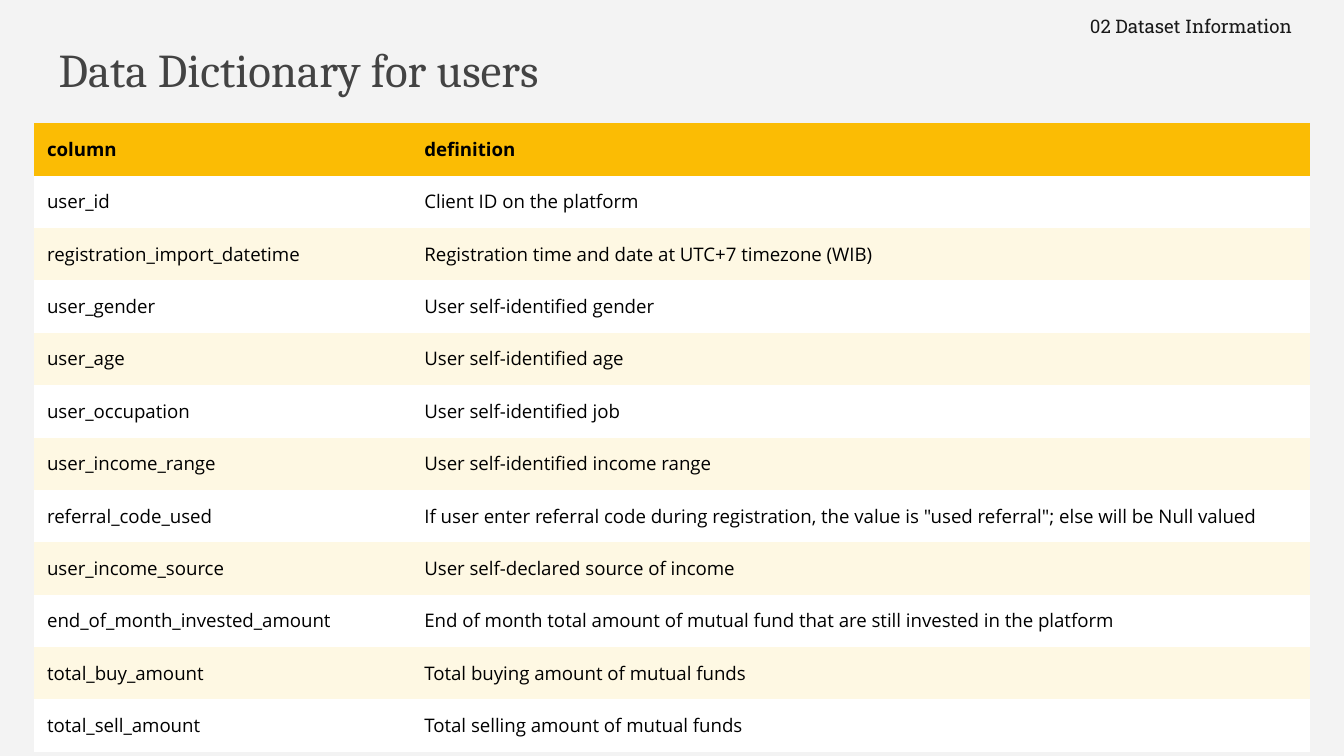
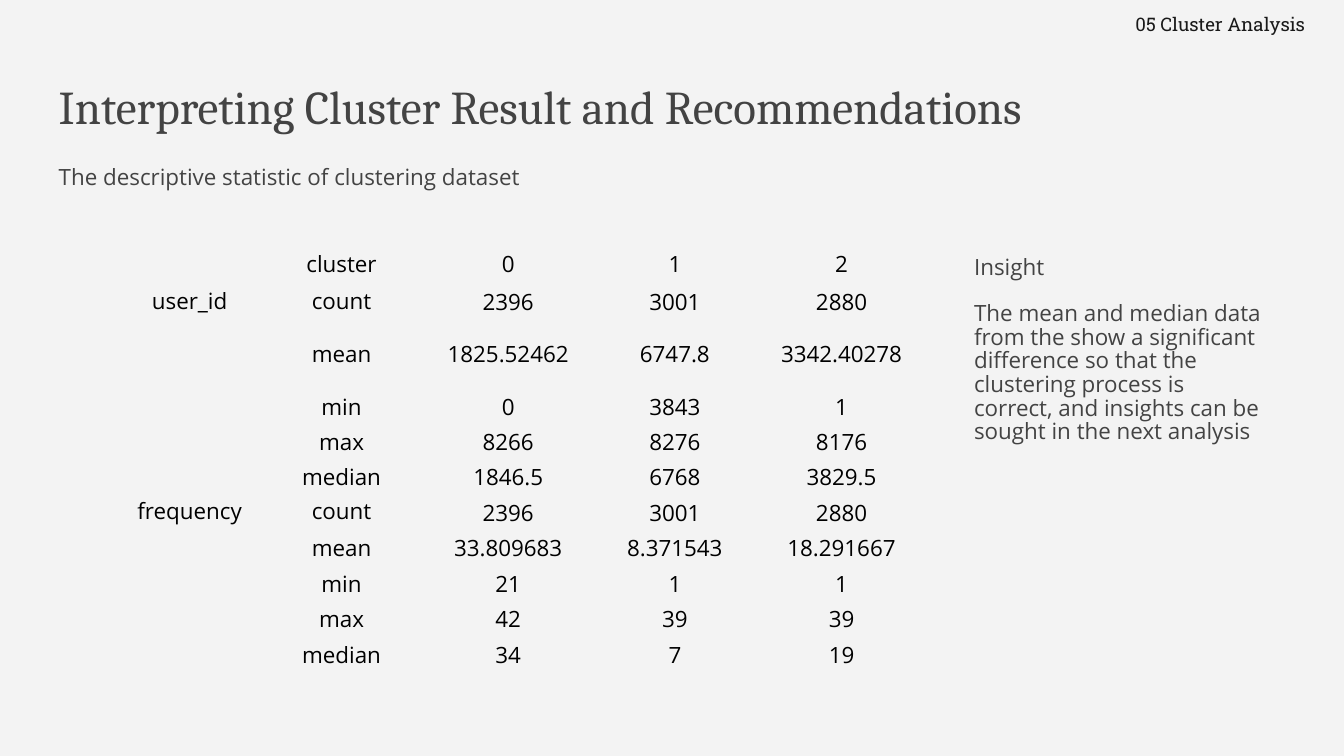
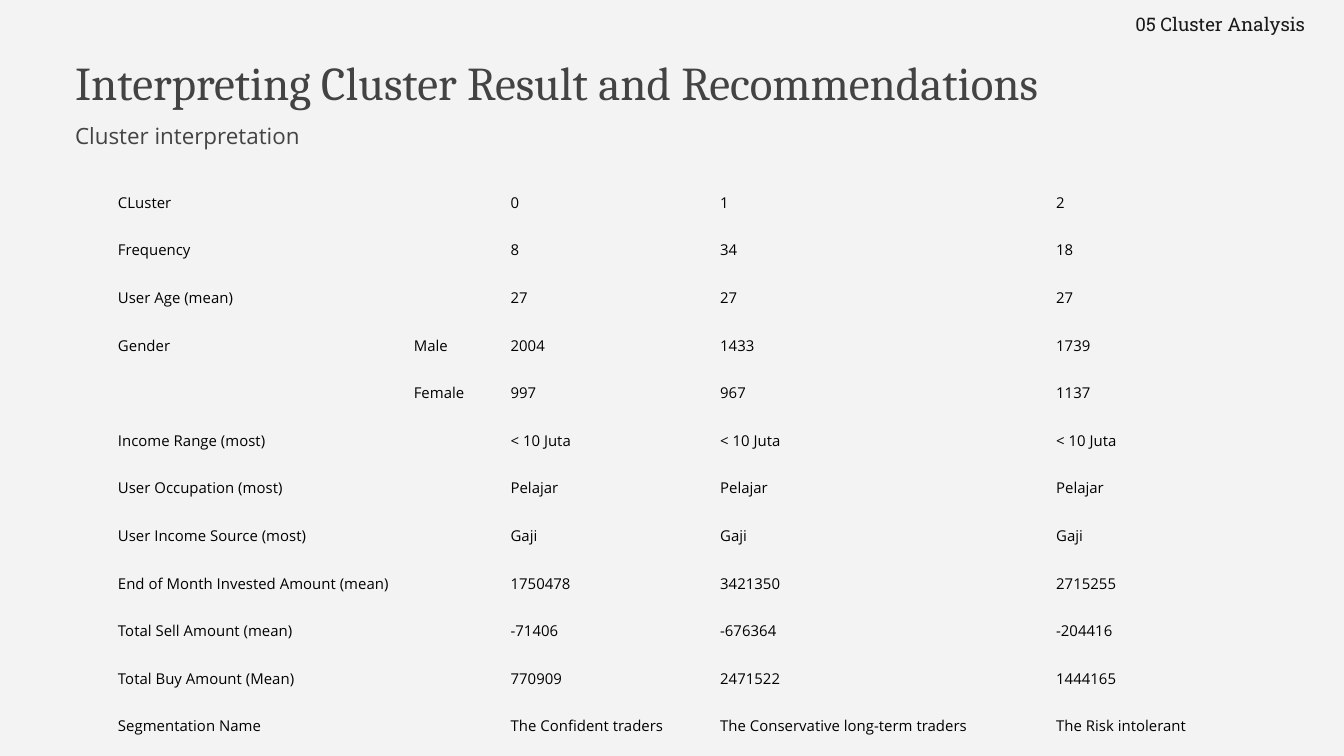
from dataclasses import dataclass

from pptx import Presentation
from pptx.dml.color import RGBColor
from pptx.enum.text import MSO_ANCHOR, MSO_AUTO_SIZE, PP_ALIGN
from pptx.oxml.ns import qn
from pptx.util import Cm, Pt

PAPER, INK, DARK, BLACK = "F3F3F3", "434343", "191919", "000000"
GOLD, CREAM, WHITE = "FBBC04", "FEF8E3", "FFFFFF"
SERIF, SANS, SLAB = "Cambria", "Open Sans", "Roboto Slab"
PLAIN = "{2D5ABB26-0587-4C30-8999-92F81FD0307C}"  # table style without grid


@dataclass(frozen=True)
class Box:
    left: float
    top: float
    width: float
    height: float

    def place(self) -> tuple:
        return Cm(self.left), Cm(self.top), Cm(self.width), Cm(self.height)


@dataclass(frozen=True)
class Span:
    """A merged block of cells, from its first cell to its last."""
    row: int
    col: int
    end_row: int
    end_col: int


@dataclass(frozen=True)
class Grid:
    left: float
    top: float
    cols: tuple
    rows: tuple
    cells: tuple
    size: float
    spans: tuple = ()
    pad: float = 0.25
    align: PP_ALIGN = PP_ALIGN.LEFT
    anchor: MSO_ANCHOR = MSO_ANCHOR.TOP
    tops: tuple = ()  # cells kept at the top whatever the anchor
    fills: tuple = ()  # head, odd row, even row


def shade(hue: str) -> RGBColor:
    return RGBColor.from_string(hue)


def write(frame, *lines: str, font=SANS, size=12.0, color=INK, bold=False,
          align=PP_ALIGN.LEFT, lead=1.0, gap=0.0) -> None:
    """Fill a text frame, one paragraph for each line."""
    for num, line in enumerate(lines):
        para = frame.add_paragraph() if num else frame.paragraphs[0]
        para.text = line
        para.alignment = align
        para.line_spacing = lead
        para.space_before = Pt(gap if num else 0)
        para.font.name, para.font.size = font, Pt(size)
        para.font.bold = bold
        para.font.color.rgb = shade(color)


def inset(item, pad: float, base: float) -> None:
    item.margin_left = item.margin_right = item.margin_top = Cm(pad)
    item.margin_bottom = Cm(base)


def setup(frame) -> None:
    frame.word_wrap = True
    frame.auto_size = MSO_AUTO_SIZE.NONE
    frame.vertical_anchor = MSO_ANCHOR.TOP
    inset(frame, 0.25, 0.25)


def label(slide, box: Box, *lines: str, **style) -> None:
    frame = slide.shapes.add_textbox(*box.place()).text_frame
    setup(frame)
    write(frame, *lines, **style)


def start(deck, title: str, spot: Box, part: str, mark: Box):
    """Add a slide with its background, title and section mark."""
    slide = deck.slides.add_slide(deck.slide_layouts[5])
    slide.background.fill.solid()
    slide.background.fill.fore_color.rgb = shade(PAPER)
    head = slide.shapes.title
    head.left, head.top, head.width, head.height = spot.place()
    setup(head.text_frame)
    write(head.text_frame, title, font=SERIF, size=25.2)
    label(slide, mark, part, font=SLAB, size=10, color=DARK)
    return slide


def draw(slide, grid: Grid) -> None:
    box = Box(grid.left, grid.top, sum(grid.cols), sum(grid.rows))
    table = slide.shapes.add_table(
        len(grid.rows), len(grid.cols), *box.place()).table
    table.first_row = table.horz_banding = False
    table._tbl.tblPr.find(qn("a:tableStyleId")).text = PLAIN
    for col, width in zip(table.columns, grid.cols):
        col.width = Cm(width)
    for row, height in zip(table.rows, grid.rows):
        row.height = Cm(height)
    for span in grid.spans:
        table.cell(span.row, span.col).merge(
            table.cell(span.end_row, span.end_col))
    for r, line in enumerate(grid.cells):
        for c, text in enumerate(line):
            cell = table.cell(r, c)
            inset(cell, grid.pad, grid.pad if grid.pad > 0.1 else 0)
            top = (r, c) in grid.tops
            cell.vertical_anchor = MSO_ANCHOR.TOP if top else grid.anchor
            if grid.fills:
                cell.fill.solid()
                tone = grid.fills[0 if r == 0 else 2 - r % 2]
                cell.fill.fore_color.rgb = shade(tone)
            else:
                cell.fill.background()
            write(cell.text_frame, text, size=grid.size, color=BLACK,
                  bold=bool(grid.fills) and r == 0, align=grid.align)


FIELDS = (
    ("column", "definition"),
    ("user_id", "Client ID on the platform"),
    ("registration_import_datetime",
     "Registration time and date at UTC+7 timezone (WIB)"),
    ("user_gender", "User self-identified gender"),
    ("user_age", "User self-identified age"),
    ("user_occupation", "User self-identified job"),
    ("user_income_range", "User self-identified income range"),
    ("referral_code_used",
     "If user enter referral code during registration, the value is "
     '"used referral"; else will be Null valued'),
    ("user_income_source", "User self-declared source of income"),
    ("end_of_month_invested_amount",
     "End of month total amount of mutual fund that are still invested "
     "in the platform"),
    ("total_buy_amount", "Total buying amount of mutual funds"),
    ("total_sell_amount", "Total selling amount of mutual funds"),
)

STATS = (
    ("", "cluster", "0", "1", "2"),
    ("user_id", "count", "2396", "3001", "2880"),
    ("", "mean", "1825.52462", "6747.8", "3342.40278"),
    ("", "min", "0", "3843", "1"),
    ("", "max", "8266", "8276", "8176"),
    ("", "median", "1846.5", "6768", "3829.5"),
    ("frequency", "count", "2396", "3001", "2880"),
    ("", "mean", "33.809683", "8.371543", "18.291667"),
    ("", "min", "21", "1", "1"),
    ("", "max", "42", "39", "39"),
    ("", "median", "34", "7", "19"),
)

GROUPS = (
    ("CLuster", "", "0", "1", "2"),
    ("Frequency", "", "8", "34", "18"),
    ("User Age (mean)", "", "27", "27", "27"),
    ("Gender", "Male", "2004", "1433", "1739"),
    ("", "Female", "997", "967", "1137"),
    ("Income Range (most)", "", "< 10 Juta", "< 10 Juta", "< 10 Juta"),
    ("User Occupation (most)", "", "Pelajar", "Pelajar", "Pelajar"),
    ("User Income Source (most)", "", "Gaji", "Gaji", "Gaji"),
    ("End of Month Invested Amount (mean)", "",
     "1750478", "3421350", "2715255"),
    ("Total Sell Amount (mean)", "", "-71406", "-676364", "-204416"),
    ("Total Buy Amount (Mean)", "", "770909", "2471522", "1444165"),
    ("Segmentation Name", "", "The Confident traders",
     "The Conservative long-term traders", "The Risk intolerant"),
)

RESULT = "Interpreting Cluster Result and Recommendations"
CLUSTER = "05 Cluster Analysis"
CORNER = Box(21.21, 0, 4.19, 0.86)
TIGHT = 0.88


def fields(deck) -> None:
    slide = start(deck, "Data Dictionary for users",
                  Box(0.86, 0.51, 23.67, 1.6),
                  "02 Dataset Information", Box(20.35, 0.03, 5.03, 0.86))
    draw(slide, Grid(0.64, 2.33, (7.13, 16.99), (0.99,) * len(FIELDS),
                     FIELDS, 10, fills=(GOLD, WHITE, CREAM)))


def stats(deck) -> None:
    slide = start(deck, RESULT, Box(0.86, 1.22, 21.44, 1.32),
                  CLUSTER, CORNER)
    label(slide, Box(0.86, 2.9, 23.67, 8.46),
          "The descriptive statistic of clustering dataset", lead=TIGHT)
    firsts = (1, 6)
    draw(slide, Grid(
        2.29, 4.6, (2.59,) + (3.15,) * 4, (0.76, 0.67, 1.3) + (0.67,) * 8,
        STATS, 12, pad=0.03, align=PP_ALIGN.CENTER,
        anchor=MSO_ANCHOR.MIDDLE,
        spans=tuple(Span(row, 0, row + 4, 0) for row in firsts),
        tops=tuple((row, col) for row in firsts for col in (0, 1))))
    label(slide, Box(18.16, 4.6, 6.07, 8.46), "Insight",
          "The mean and median data from the show a significant difference "
          "so that the clustering process is correct, and insights can be "
          "sought in the next analysis", lead=TIGHT, gap=12)


def groups(deck) -> None:
    slide = start(deck, RESULT, Box(1.17, 0.76, 21.44, 1.32),
                  CLUSTER, CORNER)
    label(slide, Box(1.17, 2.13, 23.67, 2.31), "Cluster interpretation",
          lead=TIGHT)
    wide = tuple(Span(row, 0, row, 1) for row, line in enumerate(GROUPS)
                 if not line[1])
    draw(slide, Grid(1.98, 3.38, (5.59, 1.83, 3.96, 6.35, 3.43),
                     (0.9,) * len(GROUPS), GROUPS, 8,
                     spans=wide + (Span(3, 0, 4, 0),)))


def main() -> None:
    deck = Presentation()
    deck.slide_width, deck.slide_height = Cm(25.4), Cm(14.29)
    for build in (fields, stats, groups):
        build(deck)
    deck.save("out.pptx")


if __name__ == "__main__":
    main()
